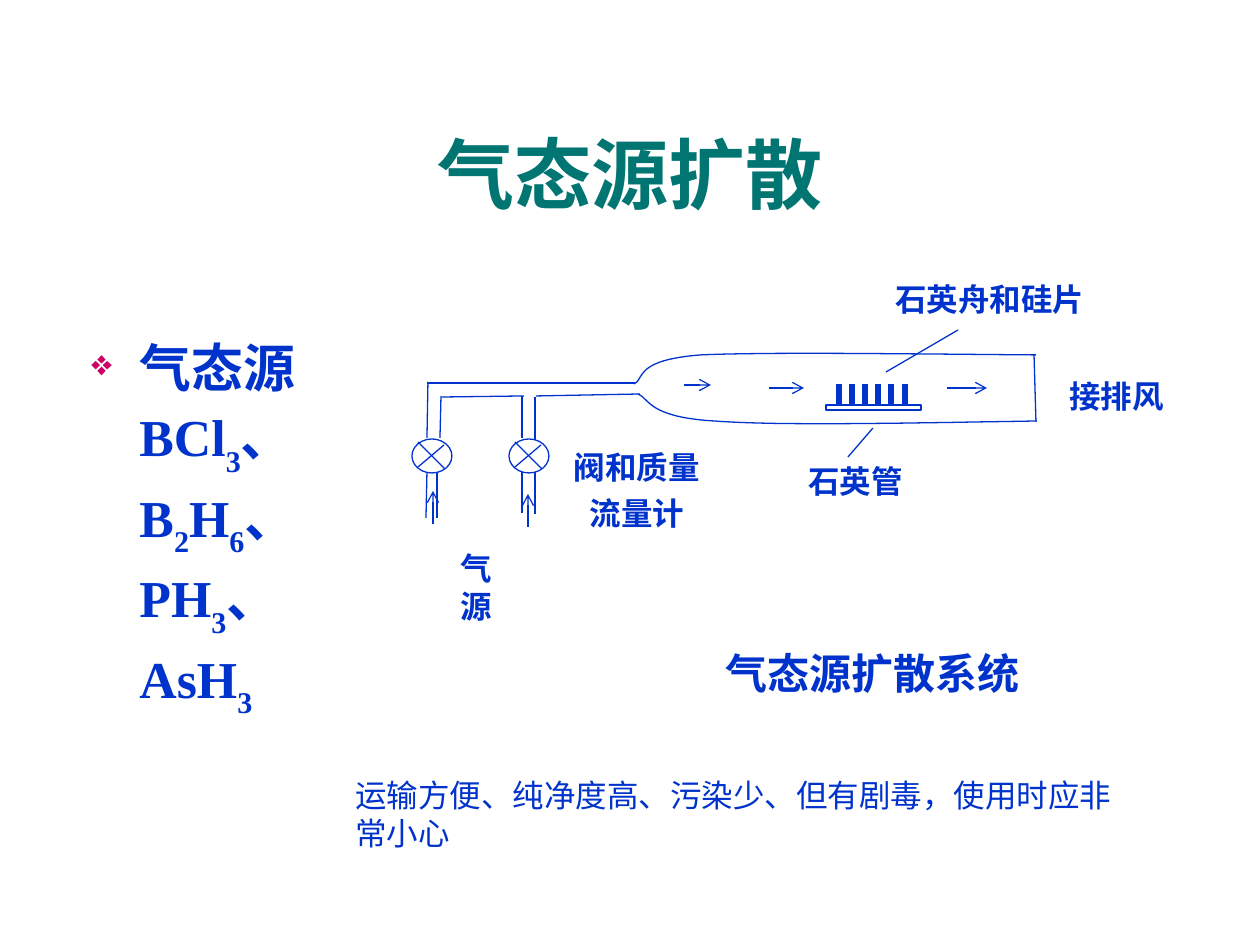
from lxml import etree
from pptx import Presentation
from pptx.dml.color import RGBColor
from pptx.enum.shapes import MSO_CONNECTOR, MSO_SHAPE
from pptx.enum.text import MSO_ANCHOR, PP_ALIGN
from pptx.oxml.ns import qn
from pptx.util import Pt

EMU_PER_PX = 914400 / 126
BLUE = RGBColor(0x00, 0x33, 0xCC)
TEAL = RGBColor(0x00, 0x75, 0x72)
MAGENTA = RGBColor(0xCC, 0x00, 0x66)
WHITE = RGBColor(0xFF, 0xFF, 0xFF)
STRAIGHT = MSO_CONNECTOR.STRAIGHT
RECTANGLE, OVAL = MSO_SHAPE.RECTANGLE, MSO_SHAPE.OVAL
LEFT, CENTER = PP_ALIGN.LEFT, PP_ALIGN.CENTER
TOP, MIDDLE = MSO_ANCHOR.TOP, MSO_ANCHOR.MIDDLE

TUBE_WALLS = [
    [(1036, 355), (902, 354), (769, 352), (701, 355), (634, 360), (645, 379), (634, 384)],
    [(1037, 421), (910, 423), (781, 426), (714, 421), (648, 417), (650, 399), (638, 394)],
]
PIPES = [
    (1034, 354, 1036, 422),
    (635, 383, 427, 383),
    (640, 394, 536, 396),
    (428, 382, 427, 438),
    (524, 396, 442, 397),
    (441, 396, 440, 438),
    (522, 396, 522, 438),
    (535, 397, 535, 442),
    (427, 472, 426, 518),
    (437, 472, 437, 518),
    (522, 472, 522, 513),
    (535, 472, 535, 514),
]
LEADERS = [(958, 330, 886, 372), (848, 457, 873, 428)]
FLOW_ARROWS = [
    (684, 385, 711, 385),
    (769, 388, 804, 388),
    (947, 388, 987, 388),
    (433, 524, 433, 491),
    (528, 527, 528, 494),
]
LABELS = [
    ((796, 456, 152, 50), ["石英管"], LEFT, 18),
    ((1057, 371, 144, 50), ["接排风"], LEFT, 18),
    ((550, 452, 174, 86), ["阀和质量", "流量计"], CENTER, 18),
    ((448, 543, 83, 88), ["气源"], LEFT, 18),
    ((883, 274, 232, 50), ["石英舟和硅片"], LEFT, 18),
    ((709, 641, 328, 63), ["气态源扩散系统"], CENTER, 24),
]
SOURCES = [("气态源 BCl", "3"), ("、B", "2"), ("H", "6"), ("、PH", "3"), ("、AsH", "3")]


def px(*lengths):
    """Turn pixel lengths into EMU."""
    return [round(length * EMU_PER_PX) for length in lengths]


def add_run(paragraph, text, size, font, color=BLUE, bold=True):
    """Add one formatted run to a paragraph."""
    run = paragraph.add_run()
    run.text = text
    run.font.size = Pt(size)
    run.font.name = font
    run.font.bold = bold
    run.font.color.rgb = color
    return run


def add_text_frame(slide, box, anchor=TOP):
    """Add a wrapping text box and return its frame."""
    frame = slide.shapes.add_textbox(*px(*box)).text_frame
    frame.word_wrap = True
    frame.vertical_anchor = anchor
    return frame


def add_label(slide, box, lines, align, size, font="Lato", bold=True):
    """Add a label with one paragraph for each line."""
    frame = add_text_frame(slide, box)
    for index, line in enumerate(lines):
        paragraph = frame.add_paragraph() if index else frame.paragraphs[0]
        paragraph.alignment = align
        if len(lines) > 1:
            paragraph.line_spacing = 0.7
        if index:
            paragraph.space_before = Pt(11.2)
        add_run(paragraph, line, size, font, bold=bold)


def add_line(slide, ends, width=0.75, arrow=False):
    """Add a straight line, with an arrowhead at its end if asked."""
    connector = slide.shapes.add_connector(STRAIGHT, *px(*ends))
    connector.line.color.rgb = BLUE
    connector.line.width = Pt(width)
    if arrow:
        outline = connector.line._get_or_add_ln()
        etree.SubElement(outline, qn("a:tailEnd"), type="arrow")
    etree.SubElement(connector._element.spPr, qn("a:effectLst"))


def add_outline_shape(slide, kind, box):
    """Add a white preset shape with a blue outline."""
    shape = slide.shapes.add_shape(kind, *px(*box))
    shape.shadow.inherit = False
    shape.fill.solid()
    shape.fill.fore_color.rgb = WHITE
    shape.line.color.rgb = BLUE
    shape.line.width = Pt(0.75)


def bezier_points(controls, steps=24):
    """Sample a cubic Bezier curve after its first point."""
    points = []
    for step in range(1, steps + 1):
        t = step / steps
        weights = ((1 - t) ** 3, 3 * t * (1 - t) ** 2, 3 * t ** 2 * (1 - t), t ** 3)
        points.append(px(*(sum(w * c for w, c in zip(weights, axis)) for axis in zip(*controls))))
    return points


def add_curve(slide, controls):
    """Add an open outline through joined cubic Bezier curves."""
    builder = slide.shapes.build_freeform(*px(*controls[0]), scale=1.0)
    for start in range(0, len(controls) - 1, 3):
        builder.add_line_segments(bezier_points(controls[start:start + 4]), close=False)
    shape = builder.convert_to_shape()
    shape.shadow.inherit = False
    shape.fill.background()
    shape.line.color.rgb = BLUE
    shape.line.width = Pt(0.75)


def add_valve(slide, left):
    """Add a crossed circle for a valve."""
    add_outline_shape(slide, OVAL, (left, 439, 40, 34))
    add_line(slide, (left + 6, 442, left + 33, 469))
    add_line(slide, (left + 32, 445, left + 6, 467))


def add_bullet(paragraph, character, color, percent, indent):
    """Give a paragraph a coloured bullet and a hanging indent."""
    properties = paragraph._p.get_or_add_pPr()
    properties.set("marL", str(indent))
    properties.set("indent", str(-indent))
    bullet_color = etree.SubElement(properties, qn("a:buClr"))
    etree.SubElement(bullet_color, qn("a:srgbClr"), val=str(color))
    etree.SubElement(properties, qn("a:buSzPct"), val=str(percent * 1000))
    etree.SubElement(properties, qn("a:buChar"), char=character)


def add_source_list(slide):
    """Add the bulleted list of gases with subscripts."""
    paragraph = add_text_frame(slide, (79, 323, 299, 486)).paragraphs[0]
    add_bullet(paragraph, "❖", MAGENTA, 70, px(48)[0])
    paragraph.line_spacing = 1.1
    for text, subscript in SOURCES:
        add_run(paragraph, text, 29.6, "Times New Roman")
        run = add_run(paragraph, subscript, 29.6, "Times New Roman")
        run._r.get_or_add_rPr().set("baseline", "-30000")


def set_title(slide, text):
    """Place and format the title."""
    title = slide.shapes.title
    title.left, title.top, title.width, title.height = px(42, 94, 1176, 158)
    title.text_frame.vertical_anchor = MIDDLE
    paragraph = title.text_frame.paragraphs[0]
    paragraph.alignment = CENTER
    add_run(paragraph, text, 44, "Times New Roman", TEAL)


def add_diffusion_system(slide):
    """Draw the tube, pipes, valves, boat and wafers."""
    for wall in TUBE_WALLS:
        add_curve(slide, wall)
    for ends in PIPES + LEADERS:
        add_line(slide, ends)
    for left in (412, 509):
        add_valve(slide, left)
    add_outline_shape(slide, RECTANGLE, (826, 405, 95, 5))
    for index in range(6):
        x = 839 + index * 66 // 5
        add_line(slide, (x, 384, x, 406), width=3)
    for ends in FLOW_ARROWS:
        add_line(slide, ends, arrow=True)
    for label in LABELS:
        add_label(slide, *label)


def main():
    """Build and save the slide."""
    presentation = Presentation()
    presentation.slide_width, presentation.slide_height = px(1260, 945)
    slide = presentation.slides.add_slide(presentation.slide_layouts[5])
    set_title(slide, "气态源扩散")
    add_source_list(slide)
    add_diffusion_system(slide)
    remark = "运输方便、纯净度高、污染少、但有剧毒，使用时应非常小心"
    add_label(slide, (343, 770, 784, 88), [remark], LEFT, 18, font="Arial", bold=False)
    presentation.save("out.pptx")


if __name__ == "__main__":
    main()
